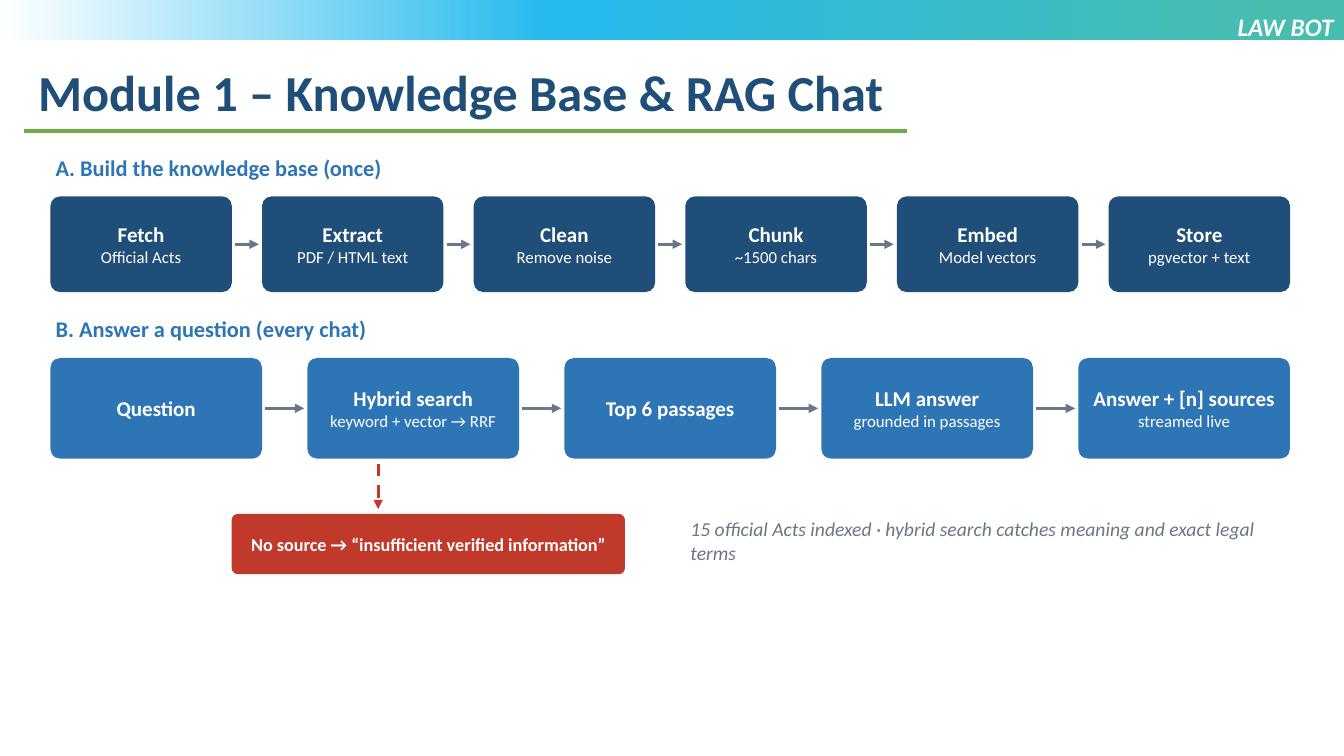
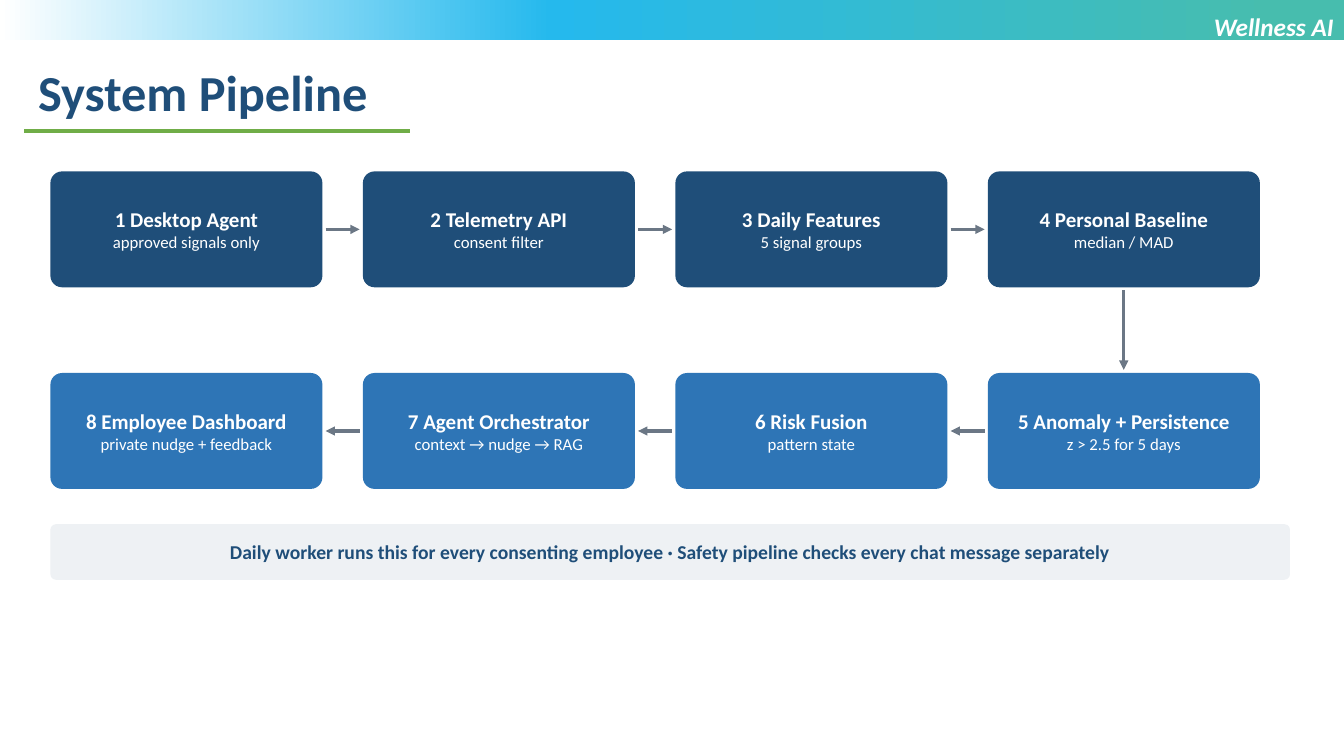
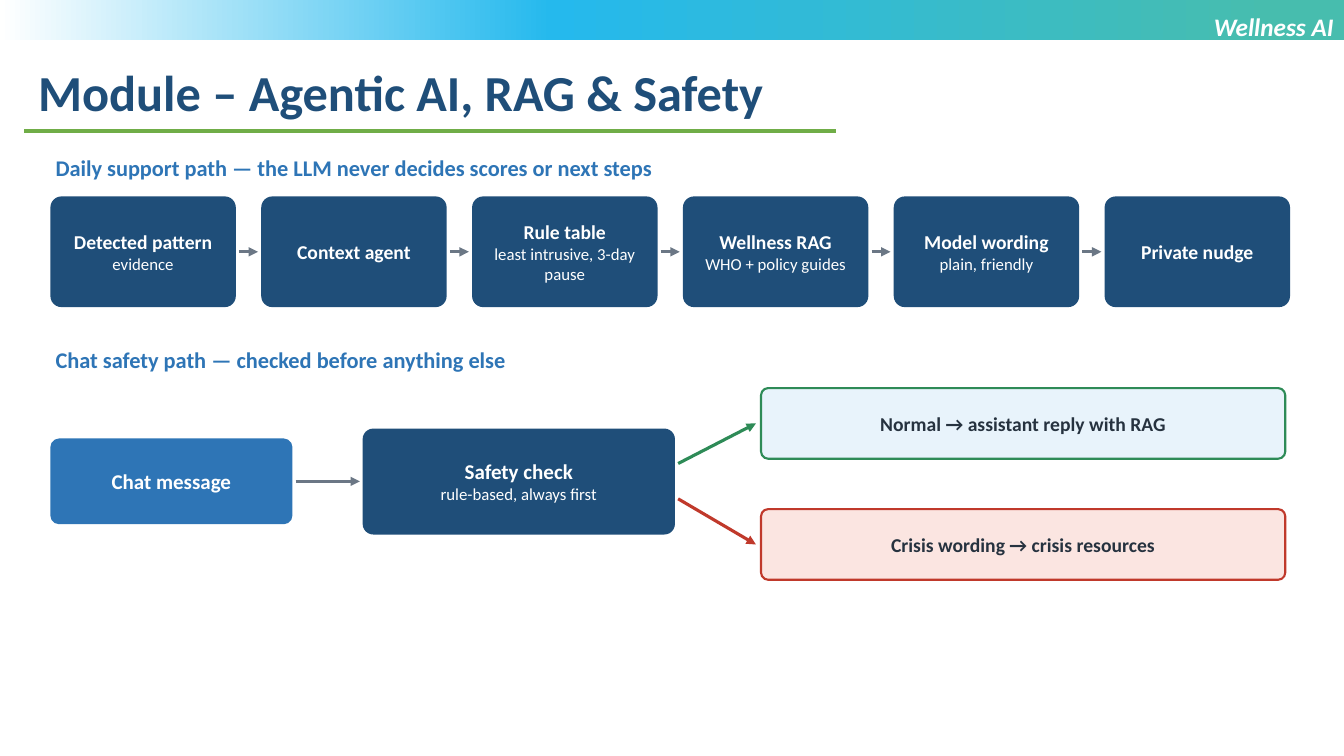
import pptx
import pptx.util
import pptx.dml.color
import pptx.enum.dml
import pptx.enum.shapes
import pptx.enum.text
import pptx.oxml
import pptx.oxml.ns
from pptx.util import Cm

FONT = "Calibri"
NAVY, BLUE, GREEN, RED = "1F4E79", "2E75B6", "2E8B57", "C0392B"
GREY, WHITE, INK, LIME = "6B7785", "FFFFFF", "26323F", "70AD47"
PALE_GREY, PALE_BLUE, PALE_RED = "EEF1F4", "E8F3FB", "FBE5E1"
BAND_STOPS = ((5, "47BDAE"), (59, "25B9ED"), (100, WHITE))

WIDTH, HEIGHT = 33.87, 19.05
LEFT, SPAN = 1.27, 31.24
ARROW_GAP = 0.08

ALIGN = pptx.enum.text.PP_ALIGN
ANCHOR = pptx.enum.text.MSO_ANCHOR
SHAPE = pptx.enum.shapes.MSO_SHAPE


def rgb(color):
    return pptx.dml.color.RGBColor.from_string(color)


def sub(parent, tag, **attrs):
    el = pptx.oxml.ns.qn(tag)
    child = parent.makeelement(el, attrs)
    parent.append(child)
    return child


def write(tf, text, size=15, color=WHITE, bold=True, italic=False, align=ALIGN.LEFT):
    p = tf.paragraphs[0]
    if p.runs:
        p = tf.add_paragraph()
    p.alignment = align
    r = p.add_run()
    r.text = text
    r.font.name = FONT
    r.font.size = pptx.util.Pt(size)
    r.font.bold = bold
    r.font.italic = italic
    r.font.color.rgb = rgb(color)


def frame(sp, dx, dy, anchor=ANCHOR.TOP):
    tf = sp.text_frame
    tf.word_wrap = True
    tf.auto_size = pptx.enum.text.MSO_AUTO_SIZE.NONE
    tf.vertical_anchor = anchor
    tf.margin_left = tf.margin_right = Cm(dx)
    tf.margin_top = tf.margin_bottom = Cm(dy)
    return tf


def label(s, text, x, y, w, h, dx=0.13, dy=0.08, **fmt):
    sp = s.shapes.add_textbox(Cm(x), Cm(y), Cm(w), Cm(h))
    write(frame(sp, dx, dy), text, **fmt)


def heading(s, text, y):
    label(s, text, LEFT, y, 25.4, 1.02, size=16, color=BLUE)


def box(s, lines, x, y, w, h, fill, border=None, size=15, color=WHITE):
    sp = s.shapes.add_shape(SHAPE.ROUNDED_RECTANGLE, Cm(x), Cm(y), Cm(w), Cm(h))
    sp.adjustments[0] = 0.1
    sp.shadow.inherit = False
    sp.fill.solid()
    sp.fill.fore_color.rgb = rgb(fill)
    if border:
        sp.line.color.rgb = rgb(border)
        sp.line.width = pptx.util.Pt(1.5)
    else:
        sp.line.fill.background()
    tf = frame(sp, 0.2, 0.1, ANCHOR.MIDDLE)
    title, *details = lines
    write(tf, title, size=size, color=color, align=ALIGN.CENTER)
    for detail in details:
        write(tf, detail, size=12, color=color, bold=False, align=ALIGN.CENTER)


def line(s, x1, y1, x2, y2, color=GREY, arrow=True, dashed=False):
    c = s.shapes.add_connector(pptx.enum.shapes.MSO_CONNECTOR.STRAIGHT,
                               Cm(x1), Cm(y1), Cm(x2), Cm(y2))
    c.line.color.rgb = rgb(color)
    c.line.width = pptx.util.Pt(2.25)
    if dashed:
        c.line.dash_style = pptx.enum.dml.MSO_LINE.DASH
    if arrow:
        sub(c.line._get_or_add_ln(), "a:tailEnd", type="triangle")
    sub(c._element.spPr, "a:effectLst")


def flow(s, steps, y, h, gap, fill, span=SPAN, size=15, leftward=False):
    n = len(steps)
    w = (span - gap * (n - 1)) / n
    for i, lines in enumerate(reversed(steps) if leftward else steps):
        x = LEFT + i * (w + gap)
        box(s, lines, x, y, w, h, fill, size=size)
        if i < n - 1:
            ends = [x + w + ARROW_GAP, x + w + gap - ARROW_GAP]
            start, end = reversed(ends) if leftward else ends
            line(s, start, y + h / 2, end, y + h / 2)


def add_band(s, layout):
    sp = s.shapes.add_shape(SHAPE.RECTANGLE, 0, 0, Cm(WIDTH), Cm(1.02))
    sp.shadow.inherit = False
    sp.line.fill.background()
    sp.fill.gradient()
    sp.fill.gradient_angle = 180
    stops = sp._element.spPr.find(".//" + pptx.oxml.ns.qn("a:gsLst"))
    for stop in list(stops):
        stops.remove(stop)
    for pos, color in BAND_STOPS:
        gs = sub(stops, "a:gs", pos=str(pos * 1000))
        sub(gs, "a:srgbClr", val=color)
    layout.shapes._spTree.insert(2, sp._element)


def add_slide(prs, title, brand, rule_end):
    s = prs.slides.add_slide(prs.slide_layouts[5])
    sp = s.shapes.title
    sp.left, sp.top, sp.width, sp.height = Cm(0.71), Cm(1.4), Cm(29.51), Cm(1.8)
    write(frame(sp, 0.25, 0.13), title, size=36, color=NAVY)
    line(s, 0.61, 3.3, rule_end, 3.3, color=LIME, arrow=False)
    label(s, brand, 16.92, 0.15, 16.94, 1.8, dx=0.25, dy=0.13,
          size=18, italic=True, align=ALIGN.RIGHT)
    return s


def knowledge_slide(prs):
    s = add_slide(prs, "Module 1 – Knowledge Base & RAG Chat", "LAW BOT", 22.86)
    heading(s, "A. Build the knowledge base (once)", 3.81)
    flow(s, [("Fetch", "Official Acts"), ("Extract", "PDF / HTML text"),
             ("Clean", "Remove noise"), ("Chunk", "~1500 chars"),
             ("Embed", "Model vectors"), ("Store", "pgvector + text")],
         4.95, 2.41, 0.76, NAVY)
    heading(s, "B. Answer a question (every chat)", 7.87)
    flow(s, [("Question",), ("Hybrid search", "keyword + vector → RRF"),
             ("Top 6 passages",), ("LLM answer", "grounded in passages"),
             ("Answer + [n] sources", "streamed live")],
         9.02, 2.54, 1.14, BLUE)
    line(s, 9.53, 11.68, 9.53, 12.83, color=RED, dashed=True)
    box(s, ["No source → “insufficient verified information”"],
        5.84, 12.95, 9.91, 1.52, RED, size=13)
    label(s, "15 official Acts indexed · hybrid search catches meaning and exact legal terms",
          17.27, 12.95, 15.24, 1.52, size=14, color=GREY, bold=False, italic=True)
    return s


def pipeline_slide(prs):
    s = add_slide(prs, "System Pipeline", "Wellness AI", 10.34)
    flow(s, [("1 Desktop Agent", "approved signals only"),
             ("2 Telemetry API", "consent filter"),
             ("3 Daily Features", "5 signal groups"),
             ("4 Personal Baseline", "median / MAD")],
         4.32, 2.92, 1.02, NAVY, span=30.48)
    flow(s, [("5 Anomaly + Persistence", "z > 2.5 for 5 days"),
             ("6 Risk Fusion", "pattern state"),
             ("7 Agent Orchestrator", "context → nudge → RAG"),
             ("8 Employee Dashboard", "private nudge + feedback")],
         9.4, 2.92, 1.02, BLUE, span=30.48, leftward=True)
    line(s, 28.32, 7.32, 28.32, 9.32)
    box(s, ["Daily worker runs this for every consenting employee · "
            "Safety pipeline checks every chat message separately"],
        LEFT, 13.21, SPAN, 1.4, PALE_GREY, size=14, color=NAVY)


def safety_slide(prs):
    s = add_slide(prs, "Module – Agentic AI, RAG & Safety", "Wellness AI", 21.08)
    heading(s, "Daily support path — the LLM never decides scores or next steps", 3.81)
    flow(s, [("Detected pattern", "evidence"), ("Context agent",),
             ("Rule table", "least intrusive, 3-day pause"),
             ("Wellness RAG", "WHO + policy guides"),
             ("Model wording", "plain, friendly"), ("Private nudge",)],
         4.95, 2.79, 0.64, NAVY, size=14)
    heading(s, "Chat safety path — checked before anything else", 8.64)
    box(s, ["Chat message"], LEFT, 11.05, 6.1, 2.16, BLUE)
    box(s, ["Safety check", "rule-based, always first"], 9.14, 10.8, 7.87, 2.67, NAVY)
    line(s, 7.45, 12.13, 9.07, 12.13)
    outcomes = [("Normal → assistant reply with RAG", 9.78, 11.68, 10.67, PALE_BLUE, GREEN),
                ("Crisis wording → crisis resources", 12.83, 12.57, 13.72, PALE_RED, RED)]
    for text, top, start, end, fill, color in outcomes:
        line(s, 17.09, start, 19.05, end, color=color)
        box(s, [text], 19.18, top, 13.21, 1.78, fill, border=color, size=14, color=INK)


def main():
    prs = pptx.Presentation()
    prs.slide_width, prs.slide_height = Cm(WIDTH), Cm(HEIGHT)
    s = knowledge_slide(prs)
    add_band(s, s.slide_layout)
    pipeline_slide(prs)
    safety_slide(prs)
    prs.save("out.pptx")


if __name__ == "__main__":
    main()
